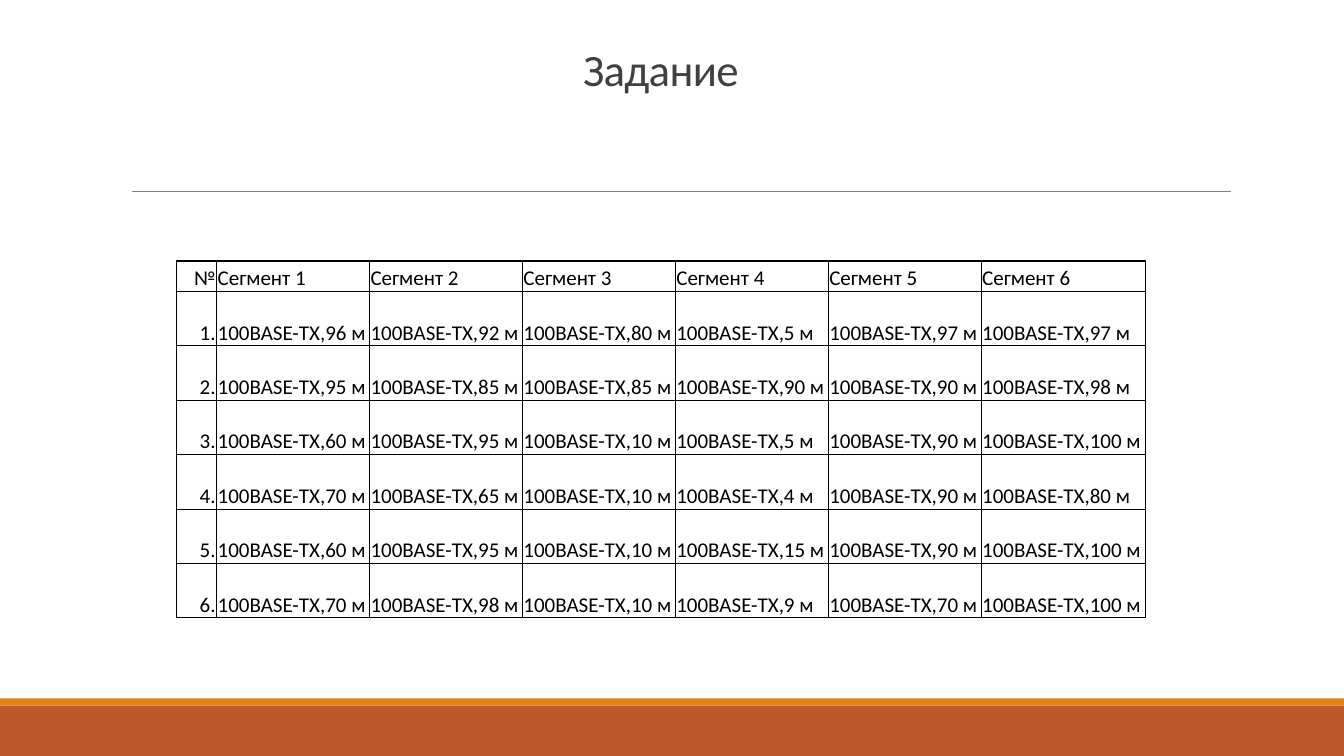
from dataclasses import dataclass

from lxml import etree
from pptx import Presentation
from pptx.dml.color import RGBColor
from pptx.enum.shapes import MSO_CONNECTOR, MSO_SHAPE
from pptx.enum.text import MSO_ANCHOR, PP_ALIGN
from pptx.oxml.ns import qn
from pptx.util import Inches, Pt

RECT = MSO_SHAPE.RECTANGLE
STRAIGHT = MSO_CONNECTOR.STRAIGHT
MIDDLE, BOTTOM = MSO_ANCHOR.MIDDLE, MSO_ANCHOR.BOTTOM
LEFT, CENTER, RIGHT = PP_ALIGN.LEFT, PP_ALIGN.CENTER, PP_ALIGN.RIGHT


@dataclass(frozen=True)
class Theme:
    font: str = "Calibri"
    title: str = "404040"
    text: str = "000000"
    rule: str = "808080"
    band: str = "BD582C"
    stripe: str = "E48312"
    title_size: float = 32
    cell_size: float = 15
    thin: float = 0.5
    thick: float = 1


THEME = Theme()
SLIDE_W, SLIDE_H = 13.33, 7.5
COLUMN_WIDTHS = [0.4] + [1.52] * 5 + [1.63]
ROW_HEIGHTS = [0.3] + [0.54] * 6
SEGMENT_LENGTHS = [
    [96, 92, 80, 5, 97, 97],
    [95, 85, 85, 90, 90, 98],
    [60, 95, 10, 5, 90, 100],
    [70, 65, 10, 4, 90, 80],
    [60, 95, 10, 15, 90, 100],
    [70, 98, 10, 9, 70, 100],
]


def style_paragraph(p, size, color, align):
    p.alignment = align
    p.font.name = THEME.font
    p.font.size = Pt(size)
    p.font.color.rgb = RGBColor.from_string(color)


def add_footer(slide, x, y, w, h):
    stripe_h = 0.07
    bars = [
        (y + stripe_h, h - stripe_h, THEME.band),
        (y, stripe_h, THEME.stripe),
    ]
    for top, height, color in bars:
        s = slide.shapes.add_shape(
            RECT, Inches(x), Inches(top), Inches(w), Inches(height))
        s.shadow.inherit = False
        s.fill.solid()
        s.fill.fore_color.rgb = RGBColor.from_string(color)
        s.line.fill.background()


def add_rule(slide, x, y, w):
    s = slide.shapes.add_connector(
        STRAIGHT, Inches(x), Inches(y), Inches(x + w), Inches(y))
    s.line.color.rgb = RGBColor.from_string(THEME.rule)
    s.line.width = Pt(THEME.thin)
    etree.SubElement(s._element.spPr, qn("a:effectLst"))


def add_title(slide, x, y, w, h):
    s = slide.shapes.add_textbox(Inches(x), Inches(y), Inches(w), Inches(h))
    tf = s.text_frame
    tf.word_wrap = True
    tf.vertical_anchor = MIDDLE
    tf.margin_left = tf.margin_right = Inches(0.3)
    tf.margin_top = tf.margin_bottom = Inches(0.2)
    p = tf.paragraphs[0]
    style_paragraph(p, THEME.title_size, THEME.title, CENTER)
    p.line_spacing = 0.85
    r = p.add_run()
    r.text = "Задание"
    r._r.get_or_add_rPr().set("spc", "-50")


def set_borders(cell, widths):
    tc_pr = cell._tc.get_or_add_tcPr()
    for side, width in zip("LRTB", widths):
        ln = etree.SubElement(tc_pr, qn(f"a:ln{side}"), w=str(Pt(width)))
        fill = etree.SubElement(ln, qn("a:solidFill"))
        etree.SubElement(fill, qn("a:srgbClr"), val=THEME.text)


def border_widths(row, col, last_row, last_col):
    heavy = (
        col <= 1,
        col == 0 or (row == 0 and col == last_col),
        row <= 1,
        row == 0 or (row == last_row and col == 0),
    )
    return [THEME.thick if side else THEME.thin for side in heavy]


def add_segment_table(slide, x, y, w, h):
    header = ["№"] + [f"Сегмент {n}" for n in range(1, 7)]
    rows = [header] + [
        [f"{n}."] + [f"100BASE-TX,{length} м" for length in lengths]
        for n, lengths in enumerate(SEGMENT_LENGTHS, 1)
    ]
    table = slide.shapes.add_table(
        len(rows), len(header),
        Inches(x), Inches(y), Inches(w), Inches(h)).table
    table.first_row = table.horz_banding = False
    for column, width in zip(table.columns, COLUMN_WIDTHS):
        column.width = Inches(width * w / sum(COLUMN_WIDTHS))
    for row, height in zip(table.rows, ROW_HEIGHTS):
        row.height = Inches(height * h / sum(ROW_HEIGHTS))
    for i, texts in enumerate(rows):
        for j, text in enumerate(texts):
            cell = table.cell(i, j)
            cell.text = text
            cell.vertical_anchor = BOTTOM
            cell.margin_left = cell.margin_right = Inches(0.01)
            cell.margin_top = Inches(0.01)
            cell.margin_bottom = 0
            style_paragraph(cell.text_frame.paragraphs[0], THEME.cell_size,
                            THEME.text, LEFT if j else RIGHT)
            set_borders(cell, border_widths(
                i, j, len(rows) - 1, len(header) - 1))
            cell.fill.background()


def main():
    prs = Presentation()
    prs.slide_width, prs.slide_height = Inches(SLIDE_W), Inches(SLIDE_H)
    slide = prs.slides.add_slide(prs.slide_layouts[6])
    add_footer(slide, 0, 6.93, SLIDE_W, 0.57)
    add_rule(slide, 1.31, 1.9, 10.9)
    add_title(slide, 1.64, 0.03, 9.83, 1.38)
    add_segment_table(slide, 1.75, 2.59, 9.61, 3.54)
    prs.save("out.pptx")


if __name__ == "__main__":
    main()
